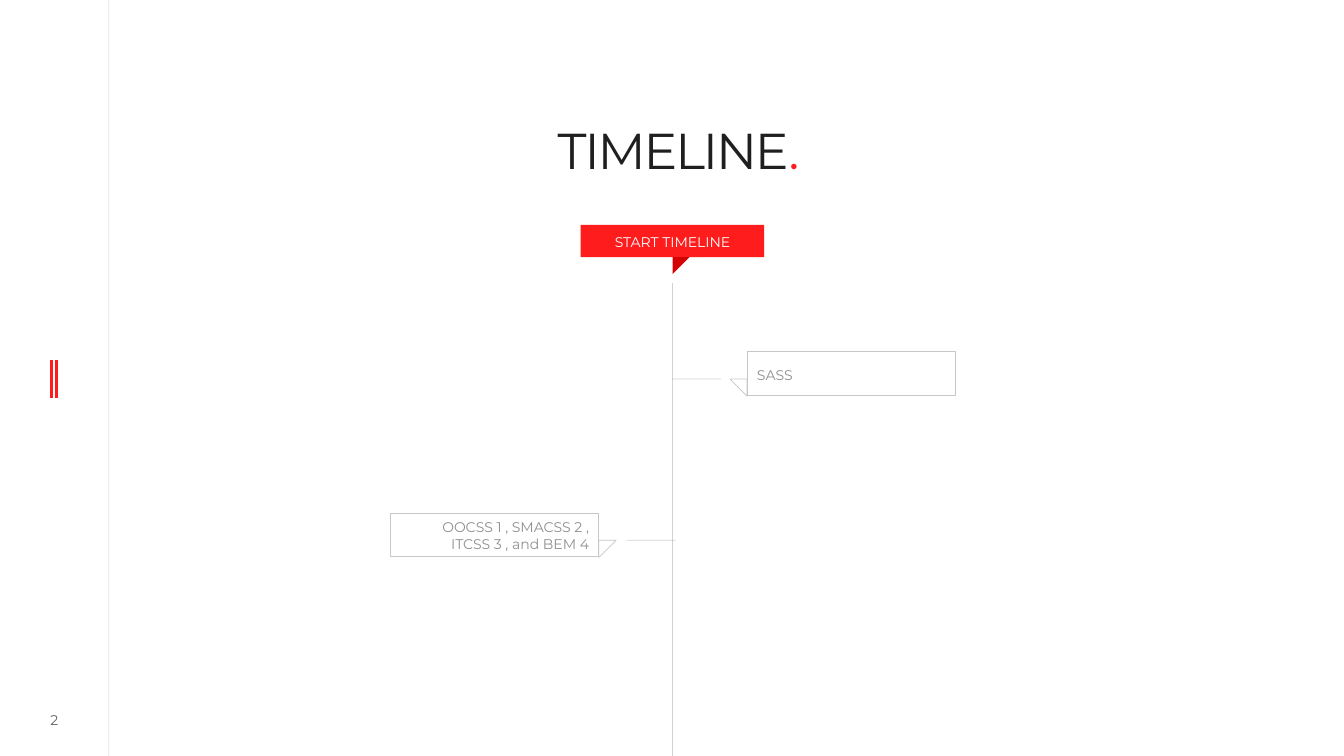
from pptx import Presentation
from pptx.dml.color import RGBColor
from pptx.enum.shapes import MSO_CONNECTOR, MSO_SHAPE
from pptx.enum.text import MSO_ANCHOR, PP_ALIGN
from pptx.oxml.ns import qn
from pptx.util import Inches, Pt

LEFT, CENTER, RIGHT = PP_ALIGN.LEFT, PP_ALIGN.CENTER, PP_ALIGN.RIGHT
TOP, MIDDLE = MSO_ANCHOR.TOP, MSO_ANCHOR.MIDDLE
RECT, TRIANGLE = MSO_SHAPE.RECTANGLE, MSO_SHAPE.RIGHT_TRIANGLE
STRAIGHT = MSO_CONNECTOR.STRAIGHT

FONT = "Montserrat"
DARK, RED, DARK_RED = "1F1F1F", "FE1C1D", "D30102"
BORDER, GREY, WHITE = "C7C7C7", "8F8F8F", "FFFFFF"
AXIS_X = 6.67
BOX_W, BOX_H, POINTER = 2.07, 0.43, 0.17
BOX_MARGINS = (0.1, 0.07, 0.1, 0.05)


def set_color(fill, color, alpha=100):
    """Solid fill with an opacity in percent."""
    fill.solid()
    fill.fore_color.rgb = RGBColor.from_string(color)
    if alpha < 100:
        srgb = next(fill._xPr.iter(qn("a:srgbClr")))
        srgb.makeelement(qn("a:alpha"))
        alpha_el = srgb.makeelement(qn("a:alpha"), {"val": str(alpha * 1000)})
        srgb.append(alpha_el)


def add_line(slide, x1, y1, x2, y2, color=DARK, width=0.5, alpha=20):
    s = slide.shapes.add_connector(
        STRAIGHT, Inches(x1), Inches(y1), Inches(x2), Inches(y2))
    s.line.width = Pt(width)
    set_color(s.line.fill, color, alpha)
    sp_pr = s._element.spPr
    sp_pr.append(sp_pr.makeelement(qn("a:effectLst")))


def add_box(slide, kind, x, y, w, h, fill=None, border=None, rotation=0):
    s = slide.shapes.add_shape(kind, Inches(x), Inches(y), Inches(w), Inches(h))
    s.shadow.inherit = False
    s.rotation = rotation
    if fill:
        set_color(s.fill, fill)
    else:
        s.fill.background()
    if border:
        s.line.width = Pt(0.5)
        set_color(s.line.fill, border)
    else:
        s.line.fill.background()
    return s


def add_textbox(slide, x, y, w, h):
    return slide.shapes.add_textbox(Inches(x), Inches(y), Inches(w), Inches(h))


def write(s, runs, size, align, margins=(0, 0, 0, 0), anchor=MIDDLE, alpha=100):
    """Fill a shape with one paragraph of (text, color) runs."""
    tf = s.text_frame
    tf.word_wrap = True
    tf.vertical_anchor = anchor
    (tf.margin_left, tf.margin_top,
     tf.margin_right, tf.margin_bottom) = map(Inches, margins)
    p = tf.paragraphs[0]
    p.alignment = align
    p.font.name, p.font.size = FONT, Pt(size)
    for text, color in runs:
        r = p.add_run()
        r.text = text
        set_color(r.font.fill, color, alpha)
    return p


def add_milestone(slide, x, y, text, on_right):
    """Outlined box whose pointer faces the timeline axis."""
    s = add_box(slide, RECT, x, y, BOX_W, BOX_H, border=BORDER)
    write(s, [(text, GREY)], 10, LEFT if on_right else RIGHT, BOX_MARGINS)
    pointer_x = x - POINTER if on_right else x + BOX_W
    add_box(slide, TRIANGLE, pointer_x, y + 0.27, POINTER, POINTER,
            border=BORDER, rotation=180 if on_right else 90)


def main():
    prs = Presentation()
    prs.slide_width, prs.slide_height = Inches(13.33), Inches(7.5)
    slide = prs.slides.add_slide(prs.slide_layouts[6])

    # Side rail and page number
    add_line(slide, 1.08, 0, 1.08, 7.5)
    for x in (0.51, 0.56):
        add_line(slide, x, 3.57, x, 3.95, RED, 2, 100)
    s = add_textbox(slide, 0.26, 7.02, 0.56, 0.25)
    write(s, [("2", DARK)], 10, CENTER, alpha=70)

    # Title
    s = add_textbox(slide, 2.04, 1.09, 9.27, 0.81)
    p = write(s, [(" TIMELINE", DARK), (".", RED)], 36, CENTER,
              (0, 0.21, 0, 0), TOP)
    p.line_spacing = 0.8
    for r in p.runs:
        r.font._element.set("spc", "-150")

    # Start label
    s = add_box(slide, RECT, 5.76, 2.23, 1.82, 0.32, fill=RED)
    write(s, [("START TIMELINE", WHITE)], 10, CENTER, (0, 0.07, 0, 0.05))
    add_box(slide, TRIANGLE, AXIS_X, 2.55, POINTER, POINTER,
            fill=DARK_RED, rotation=90)

    # Axis and branches
    add_line(slide, AXIS_X, 2.81, AXIS_X, 7.5)
    add_line(slide, AXIS_X, 3.76, 7.15, 3.76)
    add_line(slide, 6.22, 5.36, 6.7, 5.36)

    # Milestones
    add_milestone(slide, 7.41, 3.49, "SASS", True)
    add_milestone(slide, 3.87, 5.09,
                  "OOCSS 1 , SMACSS 2 , ITCSS 3 , and BEM 4", False)

    prs.save("out.pptx")


if __name__ == "__main__":
    main()
